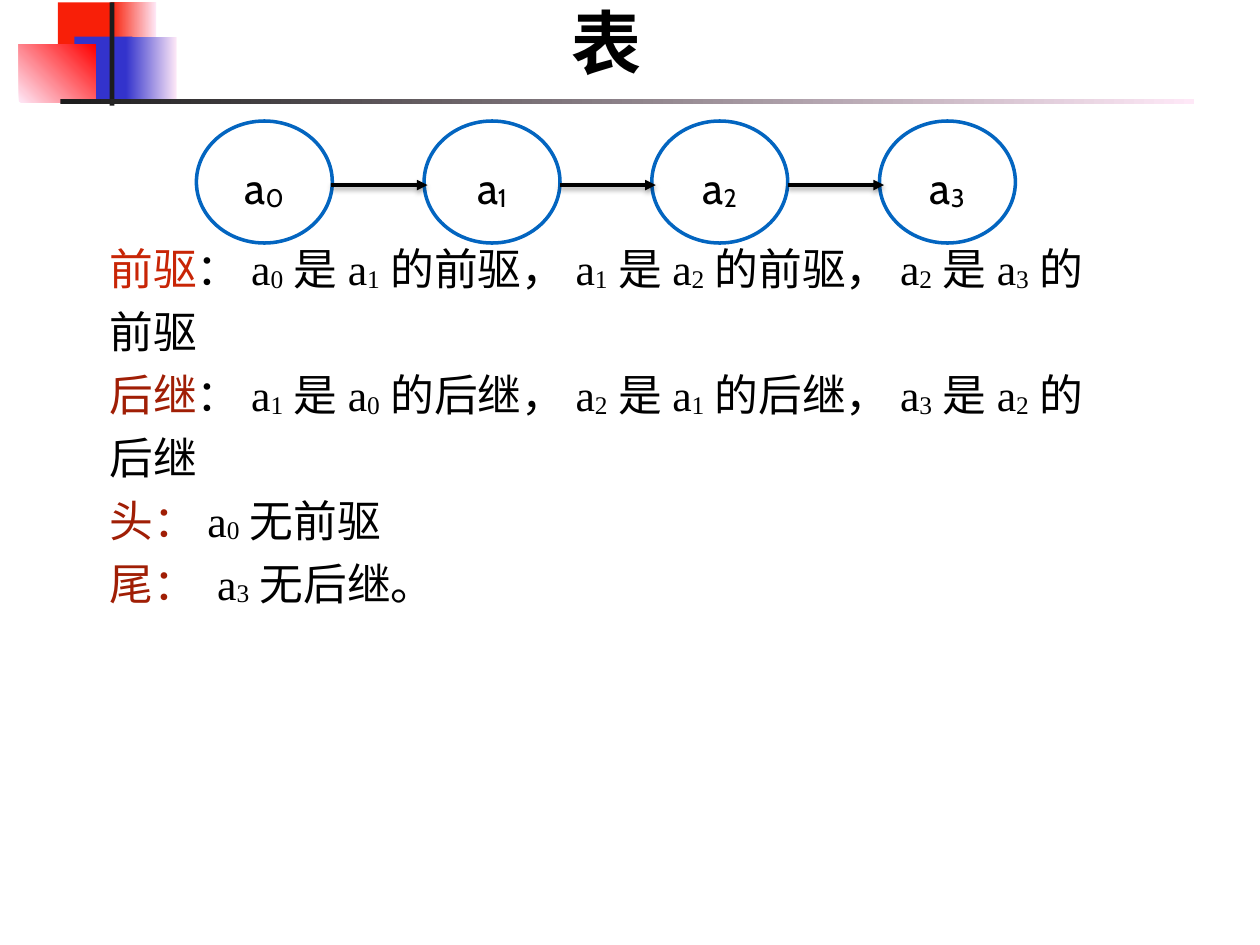
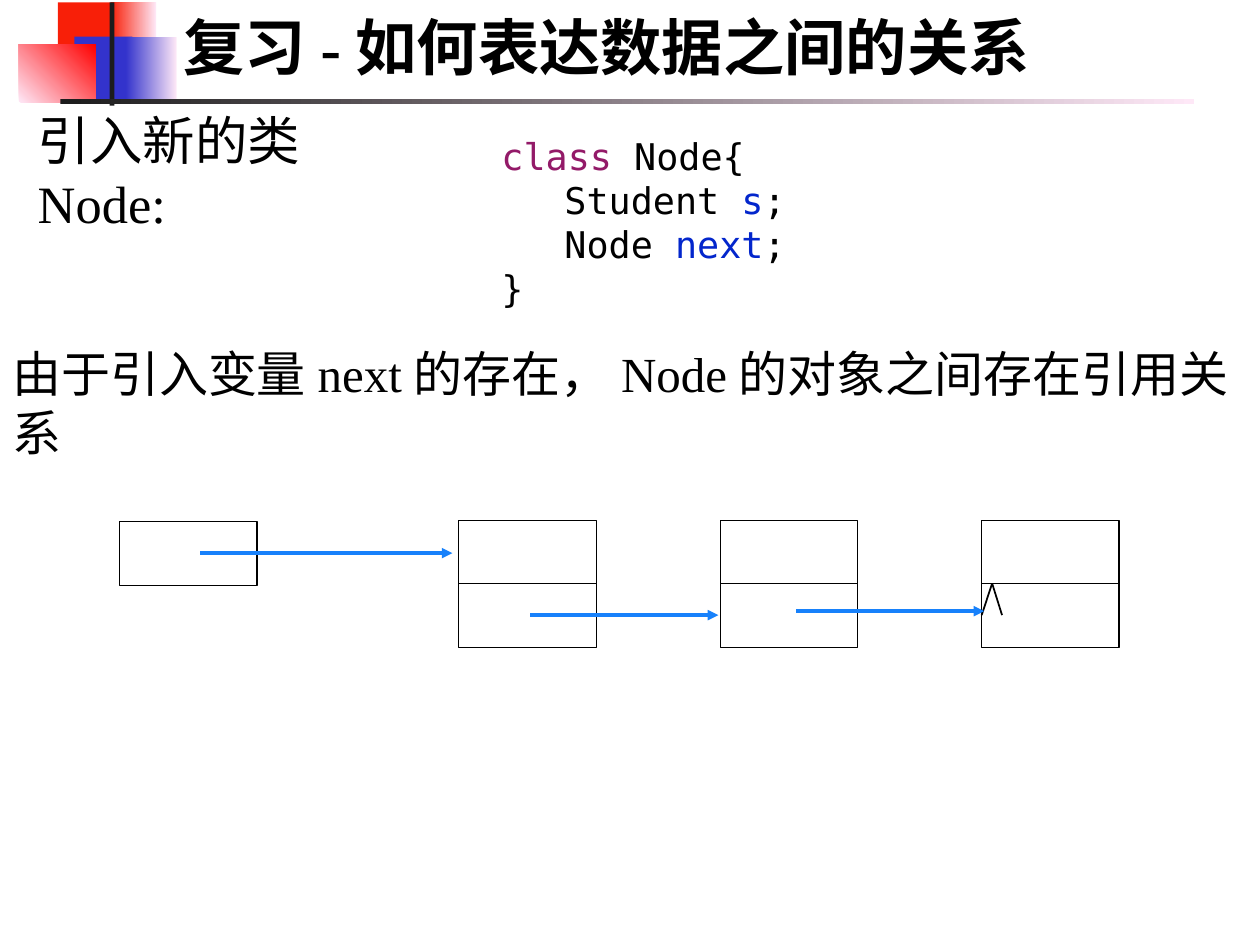
from lxml.etree import SubElement
from pptx import Presentation
from pptx.dml.color import RGBColor
from pptx.enum.shapes import MSO_CONNECTOR as CONNECTOR, MSO_SHAPE as SHAPE
from pptx.enum.text import MSO_ANCHOR as ANCHOR, PP_ALIGN as ALIGN
from pptx.oxml.ns import qn
from pptx.util import Cm, Pt

rgb = RGBColor.from_string
BLACK, WHITE, PALE = "000000", "FFFFFF", "FEE8F7"
RED, BLUE, DARK = "F81F08", "3333CC", "1C1C1C"
BRICK, MAROON = "C82506", "A01E05"
KEYWORD, FIELD = "931A68", "0326CC"
NODE_BLUE, LINK_BLUE = "0365C0", "1781FB"
SERIF, SANS, MONO = "Times New Roman", "Cabin", "DejaVu Sans Mono"


def write_text(shape, lines, font, size, anchor=ANCHOR.MIDDLE, align=ALIGN.LEFT,
               spacing=None, bold=False):
    frame = shape.text_frame
    frame.word_wrap = True
    frame.vertical_anchor = anchor
    frame.margin_left = frame.margin_right = Cm(0.15)
    frame.margin_top = frame.margin_bottom = Cm(0.15)
    for number, pieces in enumerate(lines):
        paragraph = frame.add_paragraph() if number else frame.paragraphs[0]
        paragraph.alignment = align
        paragraph.line_spacing = spacing
        if pieces[0][0].startswith("\t"):
            tabs = SubElement(paragraph._p.get_or_add_pPr(), qn("a:tabLst"))
            SubElement(tabs, qn("a:tab"), pos=str(Cm(1.27)), algn="l")
        for text, colour in pieces:
            plain, *indexed = text.split("_")
            parts = [(plain, False)]
            for chunk in indexed:
                parts += [(chunk[0], True), (chunk[1:], False)]
            for part, lowered in parts:
                if not part:
                    continue
                run = paragraph.add_run()
                run.text = part
                run.font.name = font
                run.font.size = Pt(size)
                run.font.bold = bold
                run.font.color.rgb = rgb(colour)
                if lowered:
                    run._r.get_or_add_rPr().set("baseline", "-6000")


def draw_link(slide, start, end, colour, width, arrow=True, shadow=False):
    link = slide.shapes.add_connector(
        CONNECTOR.STRAIGHT, *[Cm(value) for value in (*start, *end)])
    link.line.color.rgb = rgb(colour)
    link.line.width = Pt(width)
    properties = link._element.spPr
    if arrow:
        SubElement(properties.find(qn("a:ln")), qn("a:tailEnd"), type="triangle")
    effects = SubElement(properties, qn("a:effectLst"))
    if shadow:
        cast = SubElement(effects, qn("a:outerShdw"), blurRad=str(Pt(3)),
                          dist=str(Pt(1.6)), dir="5400000", rotWithShape="0")
        tint = SubElement(cast, qn("a:srgbClr"), val=BLACK)
        SubElement(tint, qn("a:alpha"), val="38000")


deck = Presentation()
deck.slide_width, deck.slide_height = Cm(25.4), Cm(19.05)

bands = [
    (1.17, 0.05, 1.22, 1.32, [RED], 0),
    (2.24, 0.05, 0.91, 1.32, [RED, PALE], 0),
    (1.5, 0.74, 1.17, 1.32, [BLUE], 0),
    (2.54, 0.74, 1.02, 1.32, [BLUE, PALE], 0),
    (0.38, 0.89, 1.55, 1.17, [PALE, "FF0000"], 45),
    (2.21, 0.05, 0.1, 2.08, [DARK], 0),
    (1.22, 2, 22.86, 0.1, [DARK, PALE], 0),
]
titles = [("表", 40, -0.15, 2.26), ("复习-如何表达数据之间的关系", 35, 0.03, 2)]

for title, size, title_top, title_height in titles:
    slide = deck.slides.add_slide(deck.slide_layouts[6])
    for left, top, width, height, colours, angle in bands:
        band = slide.shapes.add_shape(
            SHAPE.RECTANGLE, Cm(left), Cm(top), Cm(width), Cm(height))
        band.shadow.inherit = False
        band.line.fill.background()
        if len(colours) == 1:
            band.fill.solid()
            band.fill.fore_color.rgb = rgb(colours[0])
        else:
            band.fill.gradient()
            band.fill.gradient_angle = angle
            for stop, colour in zip(band.fill.gradient_stops, colours):
                stop.color.rgb = rgb(colour)
    heading = slide.shapes.add_textbox(
        Cm(2.44), Cm(title_top), Cm(19.58), Cm(title_height))
    write_text(heading, [[(title, BLACK)]], SERIF, size, ANCHOR.TOP, ALIGN.CENTER,
               bold=True)

list_slide, node_slide = deck.slides

relations = [
    [("前驱", BRICK),
     ("：a_0是a_1的前驱，a_1是a_2的前驱，a_2是a_3的前驱", BLACK)],
    [("后继", MAROON),
     ("：a_1是a_0的后继，a_2是a_1的后继，a_3是a_2的后继", BLACK)],
    [("头：", MAROON), ("a_0无前驱", BLACK)],
    [("尾：", MAROON), (" a_3无后继。", BLACK)],
]
node_class = [
    [("class", KEYWORD), (" Node{", BLACK)],
    [("\tStudent ", BLACK), ("s", FIELD), (";", BLACK)],
    [("\tNode ", BLACK), ("next", FIELD), (";", BLACK)],
    [("}", BLACK)],
]
introduction = [[("引入新的类Node:", BLACK)]]
consequence = [[("由于引入变量next的存在，Node的对象之间存在引用关系", BLACK)]]

passages = [
    (list_slide, 2.06, 5.51, 20.32, 5.92, relations, SERIF, 25, 1.2),
    (node_slide, 9.96, 2.39, 8, 4.17, node_class, MONO, 21, None),
    (node_slide, 0.61, 2.57, 7.2, 1.75, introduction, SERIF, 30, None),
    (node_slide, 0.1, 7.26, 24.92, 1.7, consequence, SERIF, 28, None),
]
for slide, left, top, width, height, lines, font, size, spacing in passages:
    passage = slide.shapes.add_textbox(Cm(left), Cm(top), Cm(width), Cm(height))
    write_text(passage, lines, font, size, spacing=spacing)

elements = [(list_slide, SHAPE.OVAL, 3.96 + 4.59 * i, 2.44, 2.74, 2.46,
             NODE_BLUE, 2, f"a_{i}") for i in range(4)]
cell_places = [(2.41, 10.52)] + [
    (9.25 + 5.27 * node, 10.49 + 1.28 * row) for node in range(3) for row in range(2)]
cells = [(node_slide, SHAPE.RECTANGLE, left, top, 2.77, 1.29, BLACK, 0.75, "")
         for left, top in cell_places]
for slide, kind, left, top, width, height, colour, weight, label in elements + cells:
    item = slide.shapes.add_shape(kind, Cm(left), Cm(top), Cm(width), Cm(height))
    item.shadow.inherit = False
    item.fill.solid()
    item.fill.fore_color.rgb = rgb(WHITE)
    item.line.color.rgb = rgb(colour)
    item.line.width = Pt(weight)
    if label:
        write_text(item, [[(label, BLACK)]], SANS, 25, align=ALIGN.CENTER, spacing=1.2)

for i in range(3):
    start = 6.68 + 4.6 * i
    draw_link(list_slide, (start, 3.73), (start + 1.94, 3.73), BLACK, 2, shadow=True)

for foot in (19.79, 20.2):
    draw_link(node_slide, (20, 11.76), (foot, 12.4), BLACK, 1, arrow=False)

for start, end, level in [(10.69, 14.48, 12.4), (16.05, 19.84, 12.32),
                          (4.04, 9.12, 11.15)]:
    draw_link(node_slide, (start, level), (end, level), LINK_BLUE, 2)

deck.save("out.pptx")
